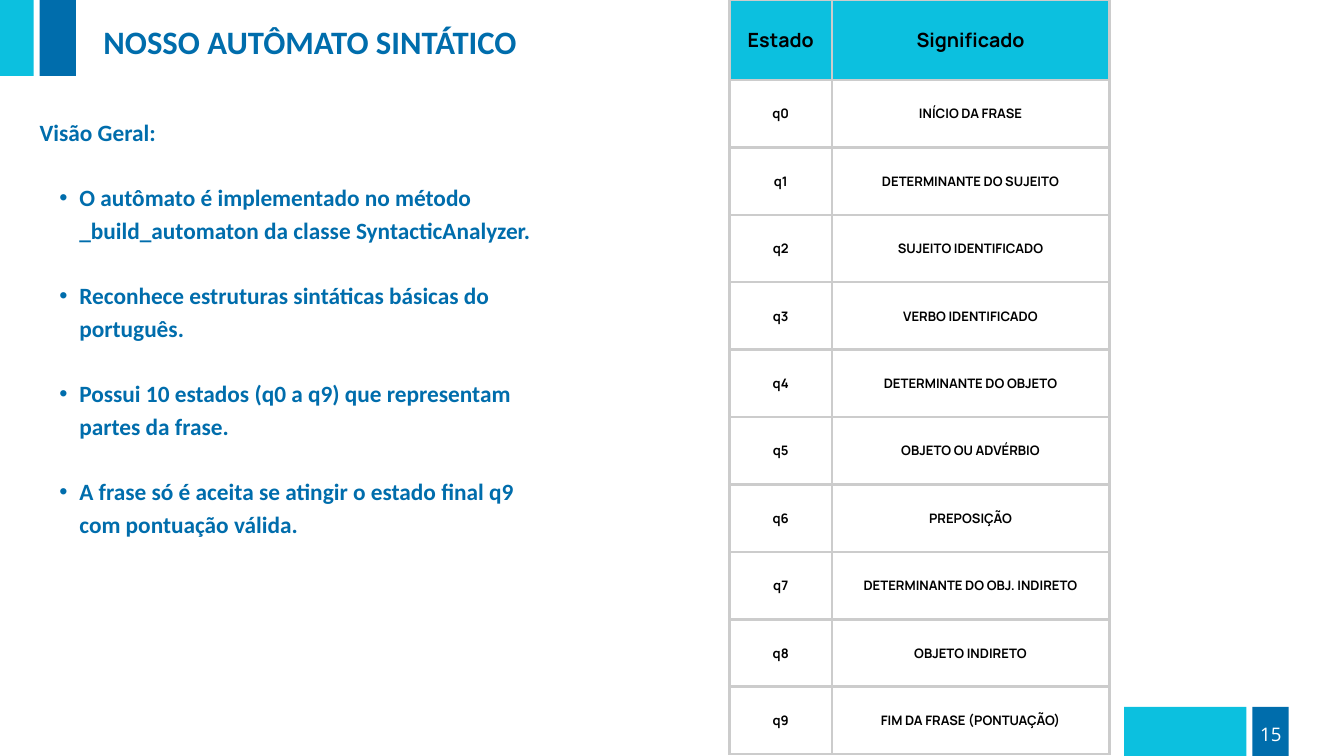
from lxml.etree import SubElement
from pptx import Presentation
from pptx.dml.color import RGBColor
from pptx.enum.shapes import MSO_SHAPE as Shape
from pptx.enum.text import MSO_ANCHOR as Anchor, MSO_AUTO_SIZE as AutoSize, PP_ALIGN as Align
from pptx.oxml.ns import qn
from pptx.util import Cm, Pt

CYAN, BLUE, WHITE, BLACK, GREY = "0CC0DF", "006DAC", "FFFFFF", "000000", "CCCCCC"

TITLE = "NOSSO AUTÔMATO SINTÁTICO"
HEADING = "Visão Geral:"
BULLETS = [
    "O autômato é implementado no método _build_automaton da classe SyntacticAnalyzer.",
    "Reconhece estruturas sintáticas básicas do português.",
    "Possui 10 estados (q0 a q9) que representam partes da frase.",
    "A frase só é aceita se atingir o estado final q9 com pontuação válida.",
]
HEADER = ("Estado", "Significado")
MEANINGS = [
    "INÍCIO DA FRASE",
    "DETERMINANTE DO SUJEITO",
    "SUJEITO IDENTIFICADO",
    "VERBO IDENTIFICADO",
    "DETERMINANTE DO OBJETO",
    "OBJETO OU ADVÉRBIO",
    "PREPOSIÇÃO",
    "DETERMINANTE DO OBJ. INDIRETO",
    "OBJETO INDIRETO",
    "FIM DA FRASE (PONTUAÇÃO)",
]
PAGE_NUMBER = "15"
BAR_CORNERS = [(-3.35, -1.22), (42.49, 26.72)]
BAR_STEP, BAR_HEIGHT = 4.85, 4.09
BARS = [(CYAN, 4.62), (BLUE, 1.37)]
COLUMN_WIDTHS = (3.86, 10.49)
HEADER_HEIGHT, ROW_HEIGHT = 3.02, 2.55


def rgb(value):
    """Turn a hex string into a colour."""
    return RGBColor.from_string(value)


def style(para, size, name, color, leading, bold=True, align=Align.LEFT, before=0):
    """Format a whole paragraph."""
    para.alignment = align
    para.line_spacing = Pt(leading)
    para.space_before = Pt(before)
    font = para.font
    font.size, font.name, font.bold = Pt(size), name, bold
    font.color.rgb = rgb(color)


def place(box, left, top, width, height, wrap=True):
    """Position a text shape and clear its margins."""
    box.left, box.top, box.width, box.height = Cm(left), Cm(top), Cm(width), Cm(height)
    frame = box.text_frame
    frame.margin_left = frame.margin_right = frame.margin_top = frame.margin_bottom = 0
    frame.vertical_anchor = Anchor.TOP
    frame.auto_size = AutoSize.NONE
    frame.word_wrap = wrap
    return frame


def set_bullet(para, char=None, left=0, hanging=0):
    """Give a paragraph a bullet and indent, or none."""
    props = para._p.get_or_add_pPr()
    props.set("marL", str(Cm(left)))
    props.set("indent", str(-Cm(hanging)))
    if char:
        SubElement(props, qn("a:buFont"), typeface="Arial")
        SubElement(props, qn("a:buChar"), char=char)
    else:
        SubElement(props, qn("a:buNone"))


def add_bars(page):
    """Draw the pair of bars in both corners."""
    for left, top in BAR_CORNERS:
        for index, (color, width) in enumerate(BARS):
            bar = page.shapes.add_shape(
                Shape.RECTANGLE, Cm(left + index * BAR_STEP), Cm(top), Cm(width), Cm(BAR_HEIGHT))
            bar.shadow.inherit = False
            bar.fill.solid()
            bar.fill.fore_color.rgb = rgb(color)
            bar.line.fill.background()


def add_text(page):
    """Fill the title and the overview list."""
    title, body = page.placeholders
    frame = place(title, 3.91, 0.81, 18.97, 1.45)
    frame.text = TITLE
    style(frame.paragraphs[0], 35, "Calibri", BLUE, 42.7)

    frame = place(body, 1.5, 4.29, 19.48, 18.21)
    frame.text = "\n".join([HEADING, *BULLETS])
    heading, *items = frame.paragraphs
    set_bullet(heading)
    style(heading, 25, "Calibri", BLUE, 35)
    for item in items:
        item.level = 1
        set_bullet(item, "•", 1.5, 0.76)
        style(item, 25, "Calibri", BLUE, 35, before=35)


def fill_cell(cell, text, size, fill):
    """Write one bordered, centred table cell."""
    cell.text = text
    cell.vertical_anchor = Anchor.MIDDLE
    cell.margin_left = cell.margin_right = cell.margin_top = cell.margin_bottom = Cm(0.53)
    style(cell.text_frame.paragraphs[0], size, "Manrope", BLACK, size * 1.4, align=Align.CENTER)
    props = cell._tc.get_or_add_tcPr()
    for side in "LRTB":
        line = SubElement(props, qn(f"a:ln{side}"), w=str(Pt(3)))
        SubElement(SubElement(line, qn("a:solidFill")), qn("a:srgbClr"), val=GREY)
    cell.fill.solid()
    cell.fill.fore_color.rgb = rgb(fill)


def add_states(page):
    """Build the table of states."""
    rows = [HEADER] + [(f"q{number}", text) for number, text in enumerate(MEANINGS)]
    heights = [HEADER_HEIGHT] + [ROW_HEIGHT] * len(MEANINGS)
    table = page.shapes.add_table(
        len(rows), len(HEADER), Cm(27.58), 0, Cm(sum(COLUMN_WIDTHS)), Cm(sum(heights))).table
    for column, width in zip(table.columns, COLUMN_WIDTHS):
        column.width = Cm(width)
    for index, (texts, height) in enumerate(zip(rows, heights)):
        table.rows[index].height = Cm(height)
        size, fill = (14, WHITE) if index else (21, CYAN)
        for column, text in enumerate(texts):
            fill_cell(table.cell(index, column), text, size, fill)


def add_page_number(page):
    """Write the page number on the blue bar."""
    box = page.shapes.add_textbox(0, 0, 0, 0)
    frame = place(box, 47.63, 27.2, 0.81, 0.94, wrap=False)
    frame.text = PAGE_NUMBER
    style(frame.paragraphs[0], 20, "Open Sans", WHITE, 28, bold=False, align=Align.CENTER)


def main():
    """Build and save the slide."""
    deck = Presentation()
    deck.slide_width, deck.slide_height = Cm(50.8), Cm(28.58)
    page = deck.slides.add_slide(deck.slide_layouts[1])
    add_bars(page)
    add_states(page)
    add_text(page)
    add_page_number(page)
    deck.save("out.pptx")


if __name__ == "__main__":
    main()
